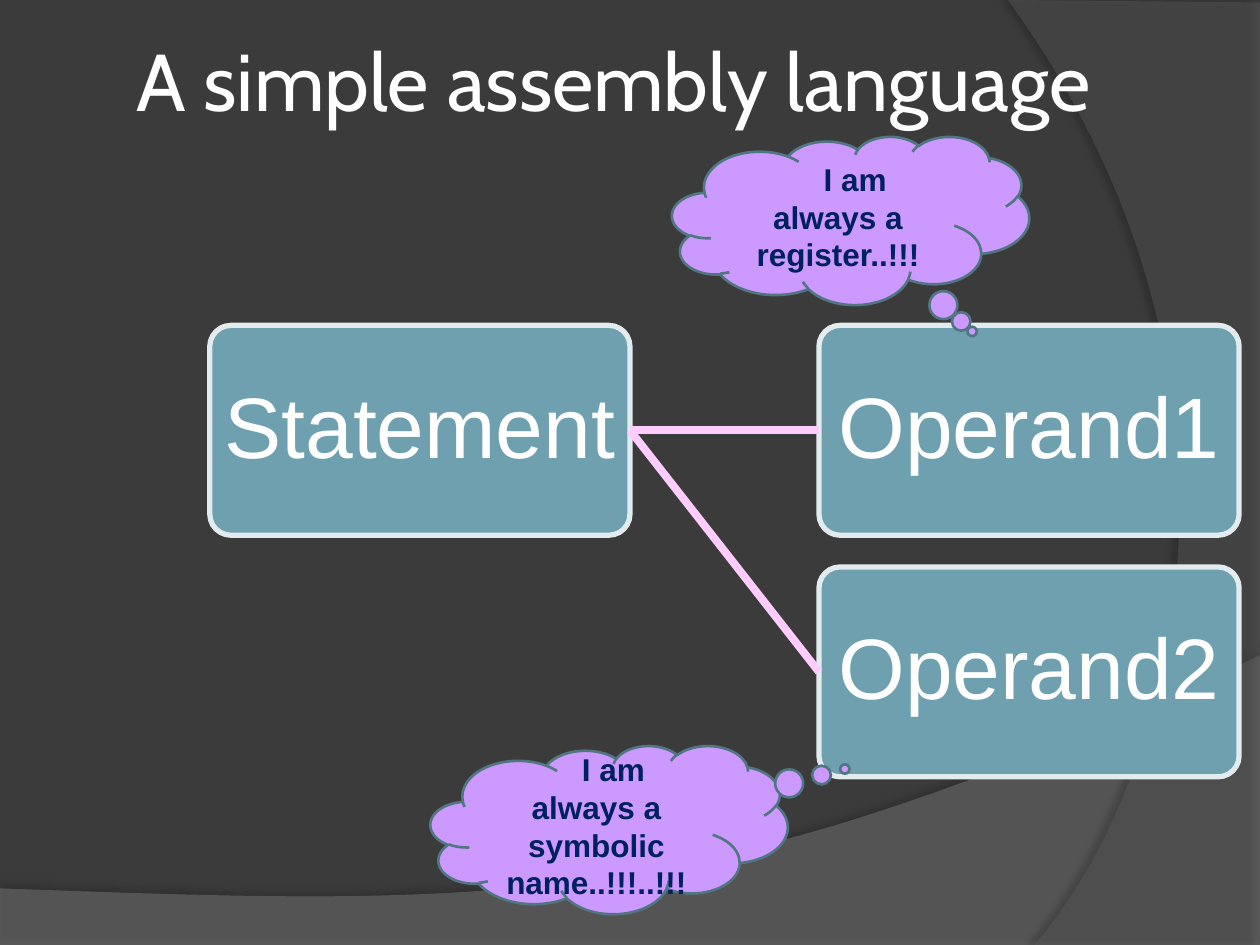
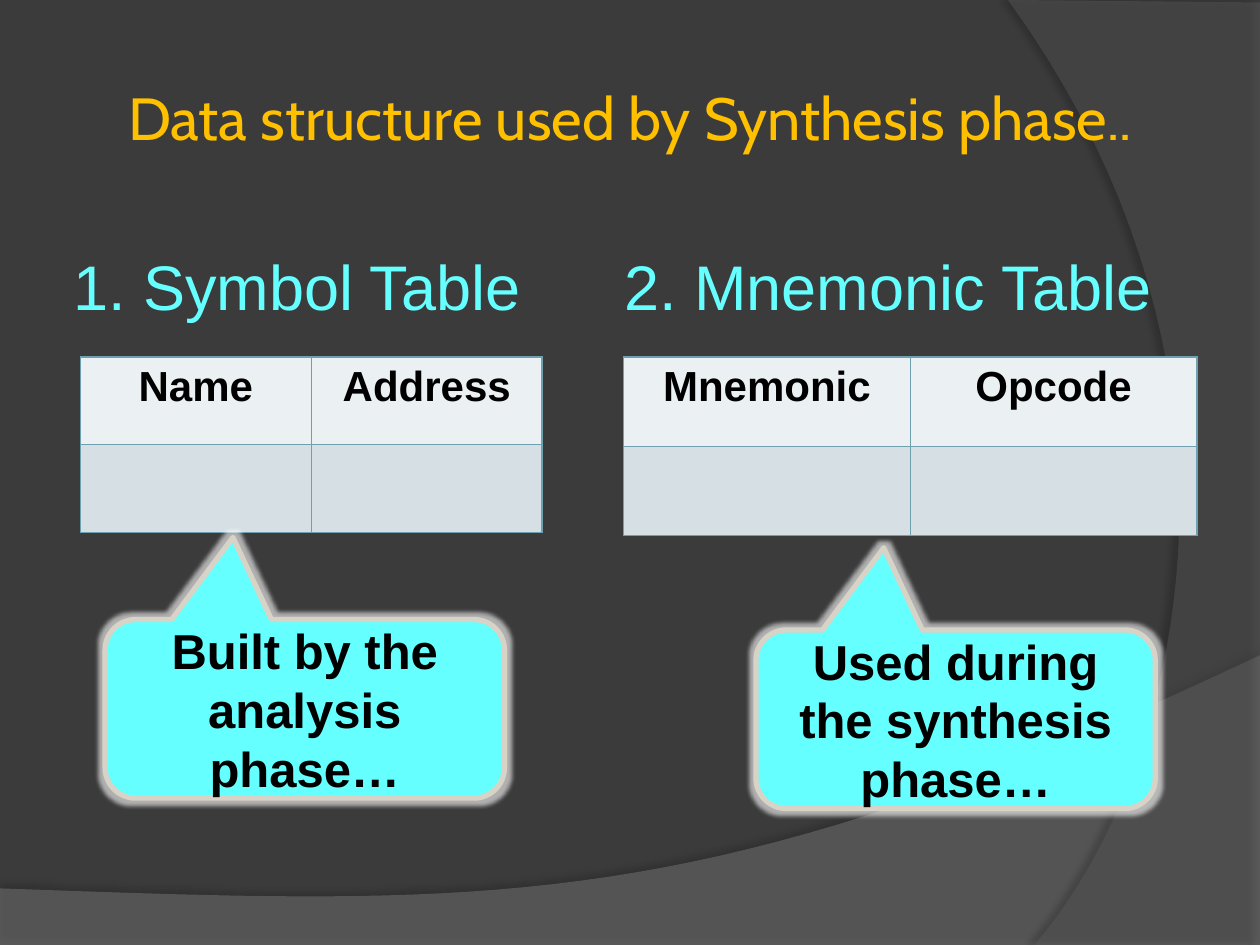
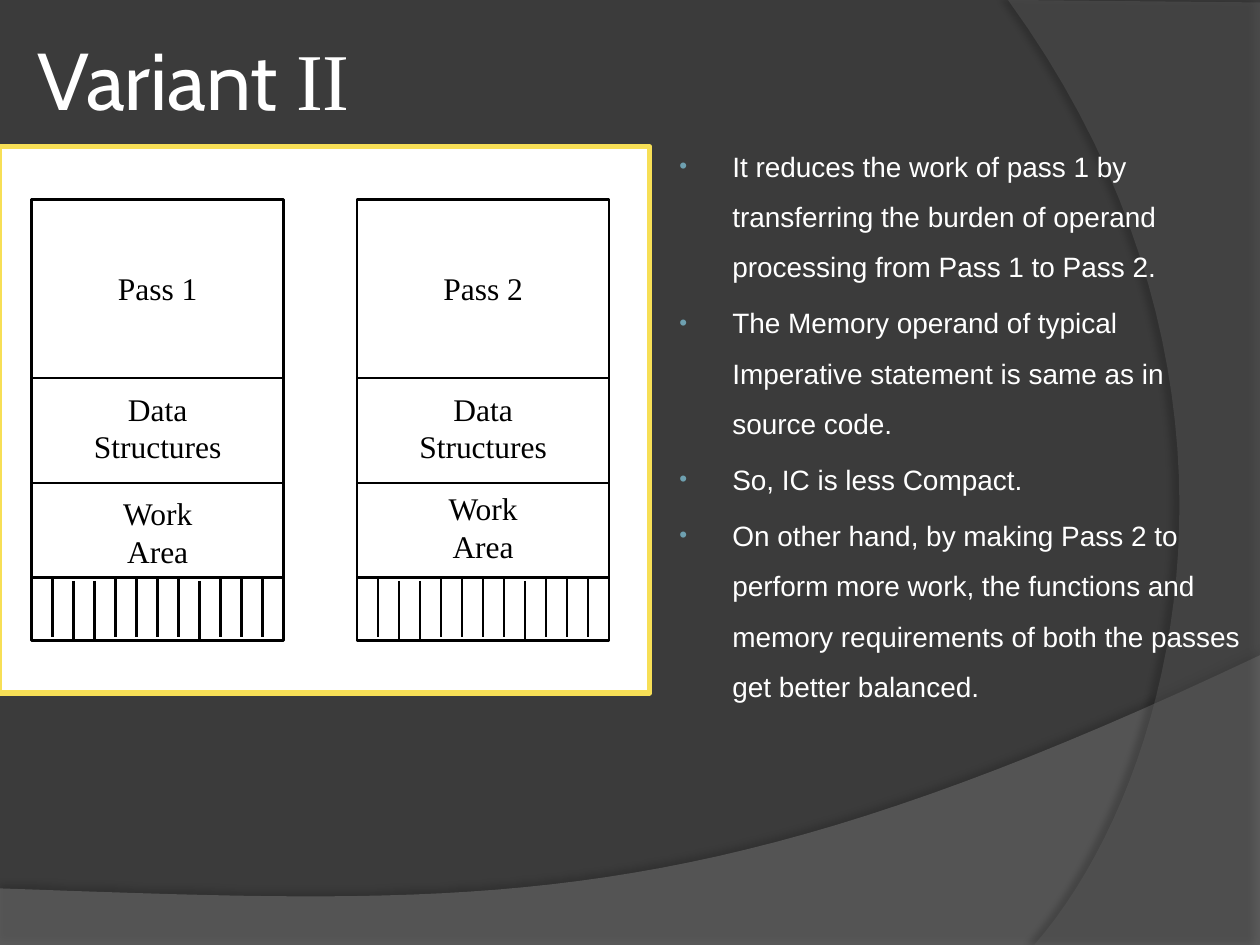
from dataclasses import dataclass

from pptx import Presentation
from pptx.dml.color import RGBColor
from pptx.enum.shapes import MSO_CONNECTOR, MSO_SHAPE
from pptx.enum.text import MSO_ANCHOR, MSO_AUTO_SIZE, PP_ALIGN
from pptx.oxml import parse_xml
from pptx.oxml.ns import nsdecls, qn
from pptx.util import Cm, Pt


@dataclass(frozen=True)
class Theme:
    background: str = "3B3B3B"
    lower_band: str = "7F7F7F"
    right_band: str = "5E5E5E"
    white: str = "FFFFFF"
    black: str = "000000"
    accent: str = "6EA0B0"
    box_line: str = "E2ECEF"
    link: str = "FFCCFF"
    cloud: str = "CC99FF"
    cloud_line: str = "517682"
    cloud_text: str = "002060"
    gold: str = "FFC000"
    cyan: str = "66FFFF"
    callout_line: str = "D8D3C7"
    header_cell: str = "EBF0F2"
    body_cell: str = "D5DFE4"
    panel_line: str = "F7DF56"
    title_font: str = "Cabin"
    text_font: str = "Arial"
    diagram_font: str = "Times New Roman"
    title_size: float = 46
    small_title_size: float = 34
    box_size: float = 49
    heading_size: float = 36
    callout_size: float = 28
    table_size: float = 24
    diagram_size: float = 18
    list_size: float = 16


THEME = Theme()


def rgb(value):
    return RGBColor.from_string(value)


def place(left, top, width, height):
    return Cm(left), Cm(top), Cm(width), Cm(height)


def add_run(paragraph, text, size, color, font=THEME.text_font, bold=False):
    run = paragraph.add_run()
    run.text = text
    run.font.name = font
    run.font.size = Pt(size)
    run.font.bold = bold
    run.font.color.rgb = rgb(color)


def set_frame(frame, inset=None, anchor=MSO_ANCHOR.MIDDLE, wrap=True):
    frame.word_wrap = wrap
    frame.auto_size = MSO_AUTO_SIZE.NONE
    frame.vertical_anchor = anchor
    if inset is not None:
        frame.margin_left = frame.margin_right = Cm(inset)
        frame.margin_top = frame.margin_bottom = Cm(inset)


def add_effect(shape, xml):
    effects = shape.element.spPr.find(qn("a:effectLst"))
    effects.append(parse_xml(xml))


def style_shape(shape, fill, line=None, line_width=1.5):
    shape.shadow.inherit = False
    shape.fill.solid()
    shape.fill.fore_color.rgb = rgb(fill)
    if line is None:
        shape.line.fill.background()
    else:
        shape.line.color.rgb = rgb(line)
        shape.line.width = Pt(line_width)


def add_box(slide, kind, box, fill, line, line_width, adjustments=()):
    shape = slide.shapes.add_shape(kind, *place(*box))
    for index, value in enumerate(adjustments):
        shape.adjustments[index] = value
    style_shape(shape, fill, line, line_width)
    return shape


def add_line(slide, start, end, color=THEME.black, width=1.5):
    points = [Cm(value) for value in (*start, *end)]
    connector = slide.shapes.add_connector(MSO_CONNECTOR.STRAIGHT, *points)
    connector.line.color.rgb = rgb(color)
    connector.line.width = Pt(width)
    connector.element.spPr.append(parse_xml(f'<a:effectLst {nsdecls("a")}/>'))
    return connector


def add_text(slide, box, lines, size, color, font=THEME.text_font, wrap=True):
    shape = slide.shapes.add_textbox(*place(*box))
    frame = shape.text_frame
    set_frame(frame, anchor=MSO_ANCHOR.TOP, wrap=wrap)
    for index, line in enumerate(lines):
        paragraph = frame.add_paragraph() if index else frame.paragraphs[0]
        paragraph.alignment = PP_ALIGN.CENTER
        add_run(paragraph, line, size, color, font)


def curve_points(start, first, second, end, steps=40):
    points = []
    for step in range(1, steps + 1):
        t = step / steps
        weights = ((1 - t) ** 3, 3 * t * (1 - t) ** 2, 3 * t * t * (1 - t), t**3)
        corners = (start, first, second, end)
        points.append(tuple(
            sum(weight * corner[axis] for weight, corner in zip(weights, corners))
            for axis in (0, 1)
        ))
    return points


def add_band(slide, master, corners, curve, fill, opacity, shadow, band_id):
    outline = corners + curve_points(corners[-1], *curve)
    points = [(Cm(x), Cm(y)) for x, y in outline]
    builder = slide.shapes.build_freeform(*points[0])
    builder.add_line_segments(points[1:], close=True)
    band = builder.convert_to_shape()
    style_shape(band, fill)
    color = band.element.spPr.find(qn("a:solidFill"))[0]
    color.append(parse_xml(f'<a:alpha {nsdecls("a")} val="{opacity * 1000}"/>'))
    strength, distance, direction = shadow
    add_effect(band, (
        f'<a:outerShdw {nsdecls("a")} blurRad="{Pt(4)}" dist="{Pt(distance)}" '
        f'dir="{direction * 60000}" rotWithShape="0"><a:srgbClr val="{THEME.black}">'
        f'<a:alpha val="{strength * 1000}"/></a:srgbClr></a:outerShdw>'
    ))
    band.element.nvSpPr.cNvPr.id = band_id
    master.shapes.element.insert(band_id - 98, band.element)


def build_master(presentation, slide):
    master = presentation.slide_master
    master.background.fill.solid()
    master.background.fill.fore_color.rgb = rgb(THEME.background)
    add_band(
        slide, master, [(0, 17.91), (0, 19.05), (25.4, 19.05), (25.4, 13.21)],
        [(14.2, 18.52), (9.93, 18.26), (0, 17.91)],
        THEME.lower_band, 45, (35, 3.5, 270), 100,
    )
    add_band(
        slide, master, [(25.4, 0.05), (25.4, 19.05), (20.85, 19.05)],
        [(23.75, 15.72), (25.86, 7.62), (20.32, 0)],
        THEME.right_band, 40, (45, 4, 180), 101,
    )


def move(shape, box):
    shape.left, shape.top, shape.width, shape.height = place(*box)


def set_title(slide, box, runs, size=THEME.title_size, color=THEME.white):
    title = slide.shapes.title
    move(title, box)
    set_frame(title.text_frame, 0.13)
    paragraph = title.text_frame.paragraphs[0]
    paragraph.alignment = PP_ALIGN.CENTER
    for text, font in runs:
        add_run(paragraph, text, size, color, font)


def add_statement_box(slide, left, top, text):
    box = add_box(slide, MSO_SHAPE.ROUNDED_RECTANGLE, (left, top, 8.47, 4.23),
                  THEME.accent, THEME.box_line, 3, [0.1])
    set_frame(box.text_frame, 0.08)
    paragraph = box.text_frame.paragraphs[0]
    paragraph.alignment = PP_ALIGN.CENTER
    paragraph.line_spacing = 0.9
    add_run(paragraph, text, THEME.box_size, THEME.white)
    return box


def add_link(slide, source, target):
    link = add_line(slide, (0, 0), (1, 1), THEME.link, 4.5)
    link.begin_connect(source, 3)
    link.end_connect(target, 1)


def add_cloud(slide, left, top, pointer, opening, remainder):
    cloud = add_box(slide, MSO_SHAPE.CLOUD_CALLOUT, (left, top, 7.2, 3.39),
                    THEME.cloud, THEME.cloud_line, 1.5, pointer)
    set_frame(cloud.text_frame)
    paragraph = cloud.text_frame.paragraphs[0]
    paragraph.alignment = PP_ALIGN.CENTER
    paragraph._p.get_or_add_pPr().set("indent", str(Cm(0.69)))
    add_run(paragraph, opening, THEME.diagram_size, THEME.cloud_text, bold=True)
    paragraph.add_line_break()
    add_run(paragraph, remainder, THEME.diagram_size, THEME.cloud_text, bold=True)


def set_cell_borders(cell):
    properties = cell._tc.get_or_add_tcPr()
    for index, side in enumerate(("lnL", "lnR", "lnT", "lnB")):
        properties.insert(index, parse_xml(
            f'<a:{side} {nsdecls("a")} w="{Pt(1)}"><a:solidFill>'
            f'<a:srgbClr val="{THEME.accent}"/></a:solidFill></a:{side}>'
        ))


def add_header_table(slide, box, headers):
    table = slide.shapes.add_table(2, len(headers), *place(*box)).table
    table.horz_banding = False
    for row, fill in enumerate((THEME.header_cell, THEME.body_cell)):
        for column, header in enumerate(headers):
            cell = table.cell(row, column)
            cell.fill.solid()
            cell.fill.fore_color.rgb = rgb(fill)
            set_cell_borders(cell)
            if row == 0:
                paragraph = cell.text_frame.paragraphs[0]
                paragraph.alignment = PP_ALIGN.CENTER
                add_run(paragraph, header, THEME.table_size, THEME.black, bold=True)


def add_callout(slide, left, top, text):
    callout = add_box(slide, MSO_SHAPE.ROUNDED_RECTANGULAR_CALLOUT,
                      (left, top, 8.05, 3.6), THEME.cyan, THEME.callout_line, 3,
                      [-0.18, -0.96, 0.17])
    add_effect(callout, (
        f'<a:glow {nsdecls("a")} rad="{Pt(5)}"><a:srgbClr val="{THEME.white}">'
        f'<a:alpha val="60000"/></a:srgbClr></a:glow>'
    ))
    set_frame(callout.text_frame)
    paragraph = callout.text_frame.paragraphs[0]
    paragraph.alignment = PP_ALIGN.CENTER
    add_run(paragraph, text, THEME.callout_size, THEME.black, bold=True)


def add_pass_column(slide, left, name, work_top):
    width, top, tick_top = 5.08, 4.02, 11.64
    add_box(slide, MSO_SHAPE.RECTANGLE, (left, top, width, 8.89),
            THEME.white, THEME.black, 1.5)
    for divider in (7.62, 9.74, tick_top):
        add_line(slide, (left, divider), (left + width, divider))
    labels = (
        (1.06, 5.29, 2.96, 1.02, [name]),
        (0.21, 7.73, 4.66, 1.8, ["Data", "Structures"]),
        (0.21, work_top, 4.66, 1.8, ["Work", "Area"]),
    )
    for offset, label_top, label_width, height, lines in labels:
        add_text(slide, (left + offset, label_top, label_width, height), lines,
                 THEME.diagram_size, THEME.black, THEME.diagram_font)
    for tick in range(1, 12):
        x = left + tick * width / 12
        start = tick_top + (0.07 if tick in (2, 3, 8) else 0)
        add_line(slide, (x, start), (x, start + 1.21))


def set_bullet(paragraph):
    properties = paragraph._p.get_or_add_pPr()
    properties.set("marL", str(Cm(1.17)))
    properties.set("indent", str(Cm(-1.07)))
    for xml in (
        f'<a:buClr {nsdecls("a")}><a:srgbClr val="{THEME.accent}"/></a:buClr>',
        f'<a:buSzPct {nsdecls("a")} val="80000"/>',
        f'<a:buFont {nsdecls("a")} typeface="{THEME.text_font}"/>',
        f'<a:buChar {nsdecls("a")} char="•"/>',
    ):
        properties.append(parse_xml(xml))


def set_list(slide, box, items):
    body = slide.placeholders[1]
    move(body, box)
    frame = body.text_frame
    set_frame(frame, anchor=MSO_ANCHOR.TOP)
    for index, item in enumerate(items):
        paragraph = frame.add_paragraph() if index else frame.paragraphs[0]
        set_bullet(paragraph)
        paragraph.line_spacing = 1.5
        paragraph.space_before = Pt(3.2 if index else 0)
        add_run(paragraph, item, THEME.list_size, THEME.white)


def fill_assembly_slide(slide):
    set_title(slide, (1.47, 0, 21.79, 3.18),
              [("A simple assembly language", THEME.title_font)])
    statement = add_statement_box(slide, 4.23, 6.56, "Statement")
    for index in range(2):
        operand = add_statement_box(slide, 16.51, 6.56 + index * 4.87,
                                    f"Operand{index + 1}")
        add_link(slide, statement, operand)
    add_cloud(slide, 13.55, 2.75, [0.34, 0.66], "I am", "always a register..!!!")
    add_cloud(slide, 8.68, 15.03, [0.66, -0.36], "I am",
              "always a symbolic name..!!!..!!!")


def fill_data_slide(slide):
    set_title(slide, (1.27, 0.76, 22.86, 3.18),
              [("Data structure used by Synthesis phase..", THEME.title_font)],
              THEME.small_title_size, THEME.gold)
    add_header_table(slide, (1.62, 7.2, 9.31, 3.53), ["Name", "Address"])
    add_header_table(slide, (12.57, 7.2, 11.56, 3.6), ["Mnemonic", "Opcode"])
    for left, width, heading in ((1.19, 9.6, "1. Symbol Table"),
                                 (12.28, 11.25, "2. Mnemonic Table")):
        add_text(slide, (left, 4.87, width, 1.8), [heading],
                 THEME.heading_size, THEME.cyan, wrap=False)
    add_callout(slide, 2.12, 12.49, "Built by the analysis phase…")
    add_callout(slide, 15.24, 12.7, "Used during the synthesis phase…")


def fill_variant_slide(slide):
    add_box(slide, MSO_SHAPE.RECTANGLE, (-0.02, 2.96, 13.12, 11.01),
            THEME.white, THEME.panel_line, 3)
    add_pass_column(slide, 0.64, "Pass 1", 9.84)
    add_pass_column(slide, 7.2, "Pass 2", 9.74)
    set_title(slide, (0.2, 0.42, 7.41, 2.33),
              [("Variant ", THEME.title_font), ("II", THEME.diagram_font)])
    set_list(slide, (13.34, 2.54, 12.06, 12.7), [
        "It reduces the work of pass 1 by transferring the burden of operand "
        "processing from Pass 1 to Pass 2.",
        "The Memory operand of typical Imperative statement is same as in source code.",
        "So, IC is less Compact.",
        "On other hand, by making Pass 2 to perform more work, the functions and "
        "memory requirements of both the passes get better balanced.",
    ])


def main():
    presentation = Presentation()
    presentation.slide_width = Cm(25.4)
    presentation.slide_height = Cm(19.05)
    title_and_list, title_only = (presentation.slide_layouts[i] for i in (1, 5))
    assembly_slide = presentation.slides.add_slide(title_only)
    build_master(presentation, assembly_slide)
    fill_assembly_slide(assembly_slide)
    fill_data_slide(presentation.slides.add_slide(title_only))
    fill_variant_slide(presentation.slides.add_slide(title_and_list))
    presentation.save("out.pptx")


if __name__ == "__main__":
    main()
